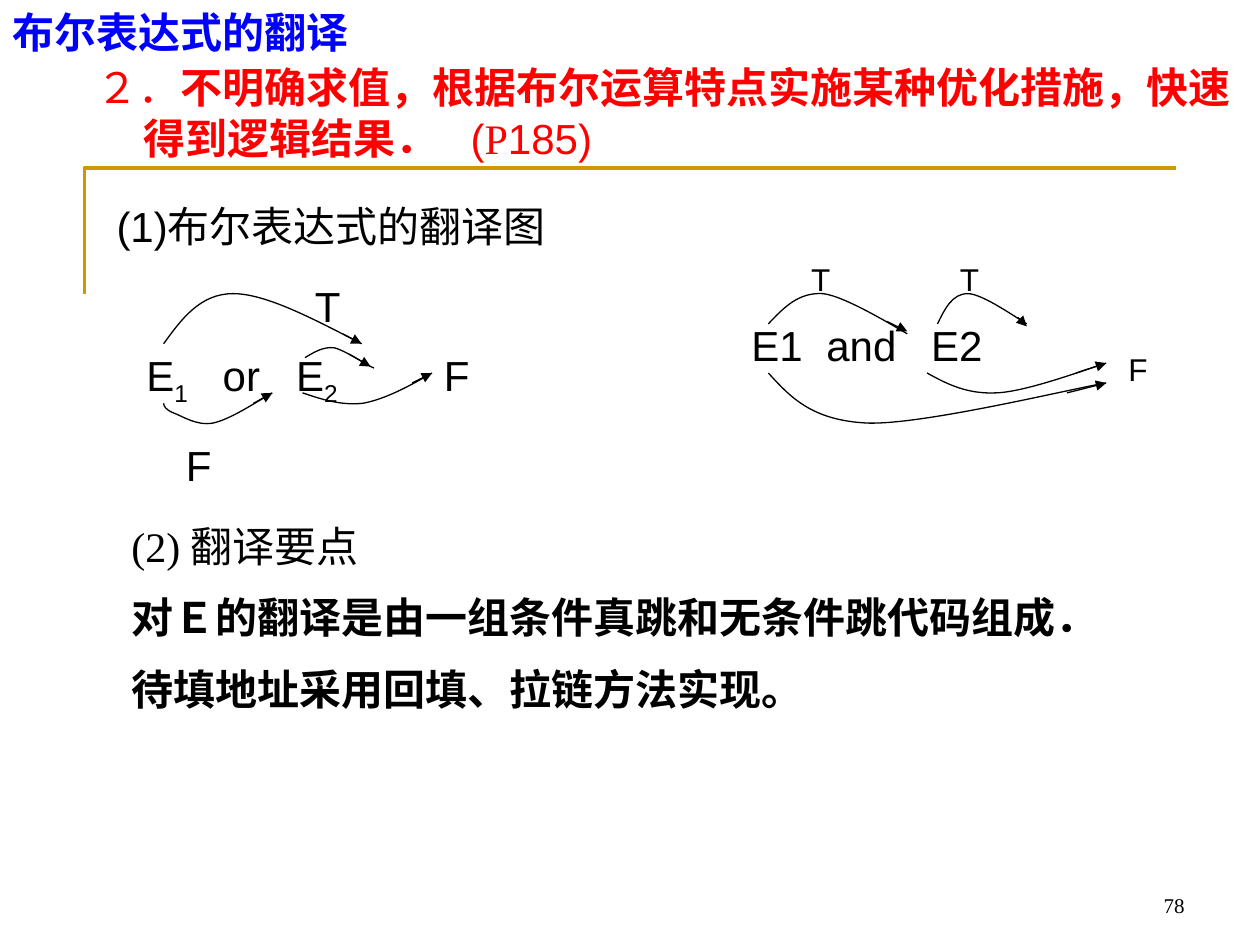
from pptx import Presentation
from pptx.dml.color import RGBColor
from pptx.enum.shapes import MSO_CONNECTOR
from pptx.enum.text import MSO_ANCHOR, PP_ALIGN
from pptx.oxml.ns import qn
from pptx.util import Cm, Pt
from lxml import etree

STRAIGHT = MSO_CONNECTOR.STRAIGHT
BOTTOM = MSO_ANCHOR.BOTTOM
RIGHT = PP_ALIGN.RIGHT
BLACK, WHITE, RED, BLUE, GOLD = "000000", "FFFFFF", "FF0000", "0000FF", "CC9900"
SANS, SERIF = "Arial", "Times New Roman"

# Each jump: Bezier points of the curve, then the two ends of its arrow, in cm
OR_JUMPS = [
    ([(3.3, 6.93), (3.66, 6.43), (4.04, 5.92), (4.7, 5.92),
      (5.36, 5.92), (6.32, 6.43), (7.29, 6.93)], (6.91, 6.73), (7.29, 6.93)),
    ([(6.15, 7.21), (6.32, 7.11), (6.5, 6.99), (6.73, 7.01),
      (6.96, 7.06), (7.44, 7.39), (7.54, 7.42)], (7.04, 7.14), (7.47, 7.39)),
    ([(6.1, 7.92), (6.48, 8.05), (6.88, 8.18), (7.32, 8.13),
      (7.75, 8.05), (8.23, 7.8), (8.71, 7.52)], (8.31, 7.72), (8.71, 7.52)),
    ([(3.3, 8.13), (3.3, 8.18), (3.33, 8.26), (3.51, 8.33),
      (3.66, 8.38), (3.96, 8.59), (4.29, 8.53),
      (4.62, 8.46), (5.05, 8.18), (5.49, 7.92)], (5.11, 8.13), (5.49, 7.92)),
]
AND_JUMPS = [
    ([(15.49, 6.53), (15.8, 6.2), (16.1, 5.89), (16.59, 5.92),
      (17.04, 5.97), (18.06, 6.6), (18.29, 6.73)], (17.88, 6.48), (18.29, 6.68)),
    ([(18.9, 6.53), (19.05, 6.22), (19.2, 5.92), (19.51, 5.92),
      (19.81, 5.92), (20.52, 6.43), (20.7, 6.53)], (20.52, 6.4), (20.7, 6.58)),
    ([(18.69, 7.52), (19.1, 7.75), (19.51, 7.95), (20.09, 7.92),
      (20.7, 7.9), (21.97, 7.42), (22.3, 7.32)], (21.69, 7.52), (22.3, 7.32)),
    ([(15.49, 7.52), (15.93, 8), (16.36, 8.48), (17.5, 8.53),
      (18.64, 8.56), (21.54, 7.85), (22.3, 7.72)], (21.51, 7.92), (22.3, 7.72)),
]
OR_MARKS = [("T", 6.1, 5.52), ("F", 3.5, 8.74), ("F", 8.7, 6.93)]
AND_MARKS = [("T", 16.1, 5.12), ("F", 22.5, 6.93)]


def paint(part, color):
    """Give a line, fill or font its colour."""
    if hasattr(part, "solid"):
        part.solid()
        part.fore_color.rgb = RGBColor.from_string(color)
    else:
        part.color.rgb = RGBColor.from_string(color)


def add_run(para, text, size=24, font=SANS, color=BLACK, bold=False, **marks):
    """Add a run; marks are further run attributes such as baseline."""
    run = para.add_run()
    run.text = text
    run.font.size = Pt(size)
    run.font.name = font
    run.font.bold = bold
    paint(run.font, color)
    for name, value in marks.items():
        run._r.get_or_add_rPr().set(name, str(value))


def add_text(shapes, left, top, width, height, *paras):
    """Add a box; each paragraph is a list of (text, style) runs."""
    box = shapes.add_textbox(Cm(left), Cm(top), Cm(width), Cm(height))
    frame = box.text_frame
    frame.word_wrap = True
    for i, runs in enumerate(paras):
        para = frame.add_paragraph() if i else frame.paragraphs[0]
        if i:
            para.space_before = Pt(12)
        for text, style in runs:
            add_run(para, text, **style)
    return box


def set_tabs(box, *stops):
    props = box.text_frame.paragraphs[0]._p.get_or_add_pPr()
    tabs = etree.SubElement(props, qn("a:tabLst"))
    for stop in stops:
        etree.SubElement(tabs, qn("a:tab"), pos=str(Cm(stop)), algn="l")


def add_path(shapes, points, color, width):
    """Draw an open outline through points in cm."""
    spots = [(Cm(x), Cm(y)) for x, y in points]
    pen = shapes.build_freeform(*spots[0])
    pen.add_line_segments(spots[1:], close=False)
    path = pen.convert_to_shape()
    path.shadow.inherit = False
    path.fill.background()
    paint(path.line, color)
    path.line.width = Pt(width)
    return path


def bend(path):
    """Turn each three line steps of a path into one Bezier curve."""
    steps = list(path._element.iter(qn("a:lnTo")))
    for i in range(0, len(steps), 3):
        first, *rest = steps[i:i + 3]
        curve = etree.Element(qn("a:cubicBezTo"))
        first.addprevious(curve)
        for step in (first, *rest):
            curve.append(step[0])
            step.getparent().remove(step)


def add_arrow(shapes, start, end):
    line = shapes.add_connector(STRAIGHT, *(Cm(v) for v in start + end))
    paint(line.line, BLACK)
    line.line.width = Pt(0.75)
    props = line._element.spPr
    etree.SubElement(props.find(qn("a:ln")), qn("a:tailEnd"), type="triangle")
    etree.SubElement(props, qn("a:effectLst"))


def add_mark(shapes, text, left, top, width, size):
    add_text(shapes, left, top, width, size / 18, [(text, {"size": size})])


def add_graph(shapes, jumps, marks, width, size):
    for curve, start, end in jumps:
        bend(add_path(shapes, curve, BLACK, 0.75))
        add_arrow(shapes, start, end)
    for mark in marks:
        add_mark(shapes, *mark, width, size)


def add_heads(shapes):
    add_text(shapes, 0, 0, 21.41, 1.27,
             [("布尔表达式的翻译", {"color": BLUE, "bold": True})])
    red = {"color": RED}
    strong = {"color": RED, "bold": True}
    rule = add_text(shapes, 1.7, 1.12, 23.7, 2.31, [
        ("２．", red),
        ("不明确求值，根据布尔运算特点实施某种优化措施，快速得到逻辑结果．", strong),
        (" ", {**strong, "spc": 1330}),
        ("(", red), ("P", {"color": RED, "font": SERIF}), ("185)", red)])
    props = rule.text_frame.paragraphs[0]._p.get_or_add_pPr()
    props.set("marL", str(Cm(0.95)))
    props.set("indent", str(-Cm(0.95)))
    add_text(shapes, 2.1, 3.92, 11.81, 1.27, [("(1)布尔表达式的翻译图", {})])


def add_points(shapes):
    bold = {"bold": True}
    box = add_text(shapes, 2.4, 7.49, 21.51, 7.44,
                   [("(2) ", {"font": SERIF}), ("翻译要点", {})],
                   [("对Ｅ的翻译是由一组条件真跳和无条件跳代码组成．", bold)],
                   [("待填地址采用回填、拉链方法实现。", bold)])
    box.text_frame.margin_top = Cm(3)
    paint(box.fill, WHITE)


def add_graphs(shapes):
    add_mark(shapes, "T", 19.1, 5.12, 0.9, 18)
    group = shapes.add_group_shape().shapes
    both = add_text(group, 14.9, 6.32, 5.3, 1.27, [("E1\tand\tE2", {})])
    set_tabs(both, 1.51, 3.62)
    add_graph(group, AND_JUMPS, AND_MARKS, 0.9, 18)

    group = shapes.add_group_shape().shapes
    sub = {"baseline": -25000}
    either = add_text(group, 2.7, 6.93, 11.4, 1.27, [
        ("E", {}), ("1", sub), ("\tor\tE", {}), ("2", sub)])
    set_tabs(either, 1.54, 3.02)
    add_graph(group, OR_JUMPS, OR_MARKS, 1.6, 24)


def main():
    deck = Presentation()
    deck.slide_width, deck.slide_height = Cm(25.4), Cm(19.05)
    shapes = deck.slides.add_slide(deck.slide_layouts[6]).shapes
    add_path(shapes, [(1.7, 5.92), (1.7, 3.39), (23.7, 3.39)], GOLD, 2)
    add_points(shapes)
    page = add_text(shapes, 18.2, 17.35, 5.93, 1.27,
                    [("78", {"size": 12, "font": SERIF})])
    page.text_frame.vertical_anchor = BOTTOM
    page.text_frame.paragraphs[0].alignment = RIGHT
    add_heads(shapes)
    add_graphs(shapes)
    deck.save("out.pptx")


if __name__ == "__main__":
    main()
